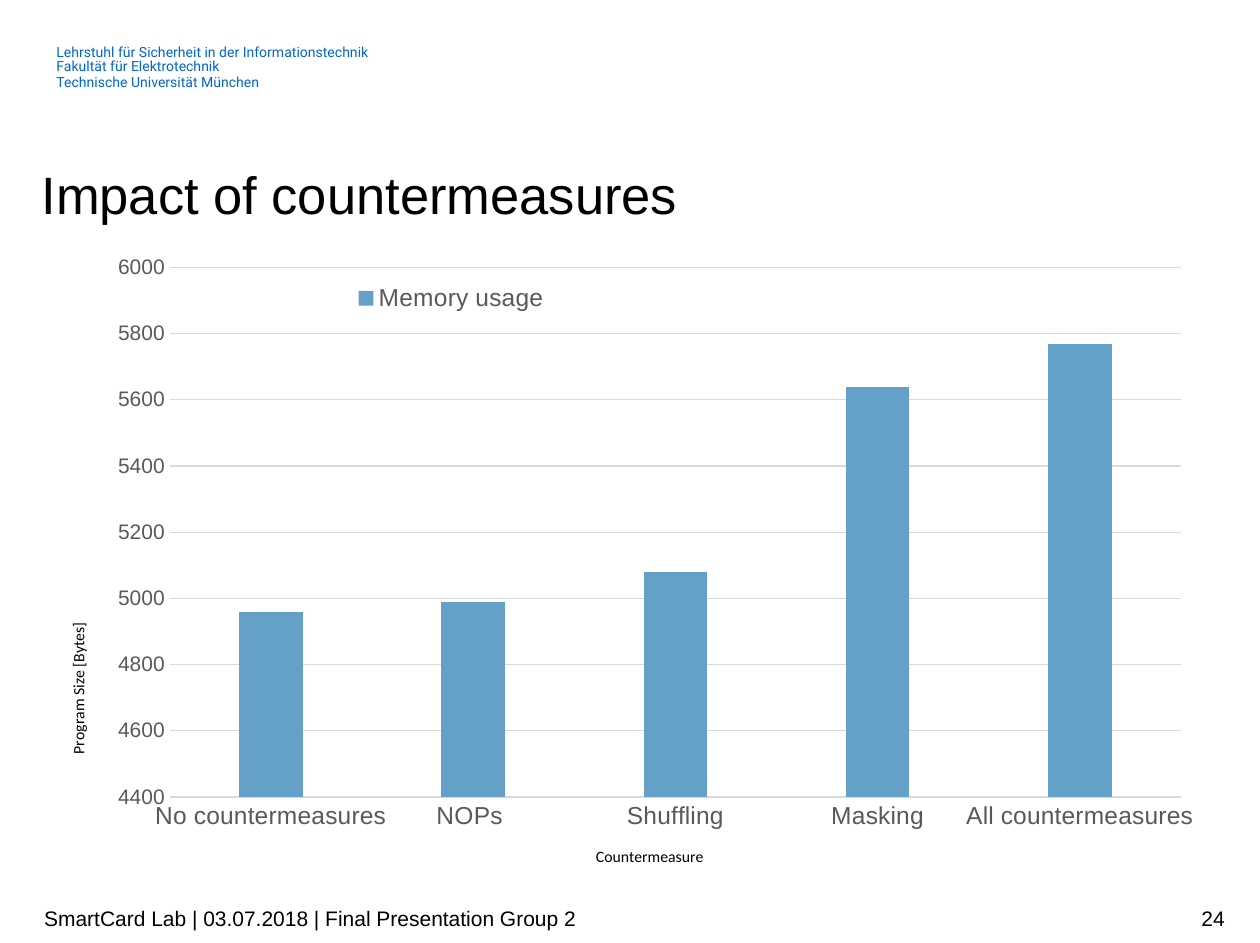
from dataclasses import dataclass

import pptx
import pptx.chart.data
import pptx.dml.color
import pptx.enum.chart
import pptx.enum.text
import pptx.oxml
import pptx.oxml.ns
import pptx.util

Pt = pptx.util.Pt
qn = pptx.oxml.ns.qn
Anchor, Align = pptx.enum.text.MSO_ANCHOR, pptx.enum.text.PP_ALIGN
WIDTH, HEIGHT = pptx.util.Inches(10), pptx.util.Cm(19)


@dataclass(frozen=True)
class Theme:
    black: str = "000000"
    header: str = "0066CC"
    label: str = "595959"
    grid: str = "D9D9D9"
    bar: str = "64A0C8"
    font: str = "Arial"
    header_font: str = "Roboto"
    axis_font: str = "Calibri"
    header_size: float = 8
    axis_title_size: float = 9
    chart_size: float = 10
    small_size: float = 12
    label_size: float = 14
    title_size: float = 30


THEME = Theme()


@dataclass(frozen=True)
class Box:
    """Position and size as shares of the surrounding frame."""
    left: float
    top: float
    width: float = 0
    height: float = 0

    def on_slide(self) -> tuple:
        return (round(self.left * WIDTH), round(self.top * HEIGHT),
                round(self.width * WIDTH), round(self.height * HEIGHT))


@dataclass(frozen=True)
class Label:
    box: Box
    lines: tuple
    size: float
    color: str = THEME.black
    font: str = THEME.font
    align: Align = Align.LEFT
    anchor: Anchor = Anchor.MIDDLE
    margins: tuple = (0, 0)
    spacings: tuple = (1.0,)


LABELS = (
    Label(Box(0.035, 0.042, 0.847, 0.062),
          ("Lehrstuhl für Sicherheit in der Informationstechnik",
           "Fakultät für Elektrotechnik",
           "Technische Universität München"),
          THEME.header_size, THEME.header, THEME.header_font,
          anchor=Anchor.TOP, margins=(0.1, 0.05), spacings=(0.85, 0.85, 0.99)),
    Label(Box(0.035, 0.948, 0.709, 0.052),
          ("SmartCard Lab | 03.07.2018 | Final Presentation Group 2",), THEME.small_size),
    Label(Box(0.748, 0.948, 0.224, 0.052), ("24",), THEME.small_size, align=Align.RIGHT),
    Label(Box(0.033, 0.174, 0.933, 0.063), ("Impact of countermeasures",), THEME.title_size),
)

CHART_BOX = Box(0.035, 0.258, 0.931, 0.687)
MEMORY_USAGE = {
    "No countermeasures": 4960,
    "NOPs ": 4990,
    "Shuffling": 5080,
    "Masking": 5640,
    "All countermeasures": 5770,
}


def rgb(color: str) -> pptx.dml.color.RGBColor:
    return pptx.dml.color.RGBColor.from_string(color)


def style_font(font, name: str, size: float, color: str) -> None:
    font.name, font.size, font.bold = name, Pt(size), False
    font.color.rgb = rgb(color)


def add_label(slide, label: Label) -> None:
    frame = slide.shapes.add_textbox(*label.box.on_slide()).text_frame
    frame.word_wrap = True
    frame.vertical_anchor = label.anchor
    side, end = map(pptx.util.Inches, label.margins)
    frame.margin_left = frame.margin_right = side
    frame.margin_top = frame.margin_bottom = end
    frame.text = "\n".join(label.lines)
    for paragraph, spacing in zip(frame.paragraphs, label.spacings):
        paragraph.alignment = label.align
        paragraph.line_spacing = spacing
        style_font(paragraph.font, label.font, label.size, label.color)


def place(element, box: Box, after: str = "") -> None:
    """Give a chart part a manual layout, in shares of the chart."""
    for old in element.findall(qn("c:layout")):
        element.remove(old)
    settings = [("xMode", "edge"), ("yMode", "edge"), ("x", box.left), ("y", box.top)]
    if box.width:
        settings += [("w", box.width), ("h", box.height)]
    body = "".join(f'<c:{tag} val="{value}"/>' for tag, value in settings)
    layout = pptx.oxml.parse_xml(
        f'<c:layout {pptx.oxml.ns.nsdecls("c")}><c:manualLayout>{body}</c:manualLayout></c:layout>')
    index = element.index(element.find(qn(after))) + 1 if after else 0
    element.insert(index, layout)


def style_axis(axis, title: str, title_box: Box, size: float, rotation: int) -> None:
    frame = axis.axis_title.text_frame
    frame.text = title
    style_font(frame.paragraphs[0].font, THEME.axis_font, THEME.axis_title_size, THEME.black)
    element = axis.axis_title._element
    element.find(".//" + qn("a:bodyPr")).set("rot", str(rotation))
    place(element, title_box, after="c:tx")
    axis.major_tick_mark = axis.minor_tick_mark = pptx.enum.chart.XL_TICK_MARK.NONE
    style_font(axis.tick_labels.font, THEME.font, size, THEME.label)


def style_line(line) -> None:
    line.color.rgb = rgb(THEME.grid)
    line.width = Pt(0.75)


def add_memory_chart(slide) -> None:
    data = pptx.chart.data.CategoryChartData()
    data.categories = list(MEMORY_USAGE)
    data.add_series("Memory usage", list(MEMORY_USAGE.values()))
    chart = slide.shapes.add_chart(
        pptx.enum.chart.XL_CHART_TYPE.COLUMN_CLUSTERED, *CHART_BOX.on_slide(), data).chart
    chart.has_title = False
    style_font(chart.font, THEME.axis_font, THEME.chart_size, THEME.black)
    place(chart._chartSpace.find(".//" + qn("c:plotArea")), Box(0.063, 0.02, 0.917, 0.885))

    # Bars
    plot = chart.plots[0]
    plot.gap_width, plot.overlap, plot.vary_by_categories = 219, -27, False
    fill = plot.series[0].format.fill
    fill.solid()
    fill.fore_color.rgb = rgb(THEME.bar)

    # Axes
    categories, values = chart.category_axis, chart.value_axis
    style_axis(categories, "Countermeasure", Box(0.468, 0.926), THEME.label_size, 0)
    style_line(categories.format.line)
    # This rotation means automatic and keeps long names on one line
    categories._element.find(qn("c:txPr")).find(qn("a:bodyPr")).set("rot", "-60000000")
    style_axis(values, "Program Size [Bytes]", Box(0.018, 0.581), THEME.small_size, -5400000)
    values.minimum_scale, values.maximum_scale, values.major_unit = 4400, 6000, 200
    values.format.line.fill.background()
    style_line(values.major_gridlines.format.line)

    # Legend
    chart.has_legend = True
    legend = chart.legend
    legend.position = pptx.enum.chart.XL_LEGEND_POSITION.RIGHT
    legend.include_in_layout = False
    style_font(legend.font, THEME.font, THEME.label_size, THEME.label)
    place(legend._element, Box(0.257, 0.06, 0.18, 0.05), after="c:legendPos")


def main() -> None:
    presentation = pptx.Presentation()
    presentation.slide_width, presentation.slide_height = WIDTH, HEIGHT
    slide = presentation.slides.add_slide(presentation.slide_layouts[6])
    for label in LABELS:
        add_label(slide, label)
    add_memory_chart(slide)
    presentation.save("out.pptx")


if __name__ == "__main__":
    main()
